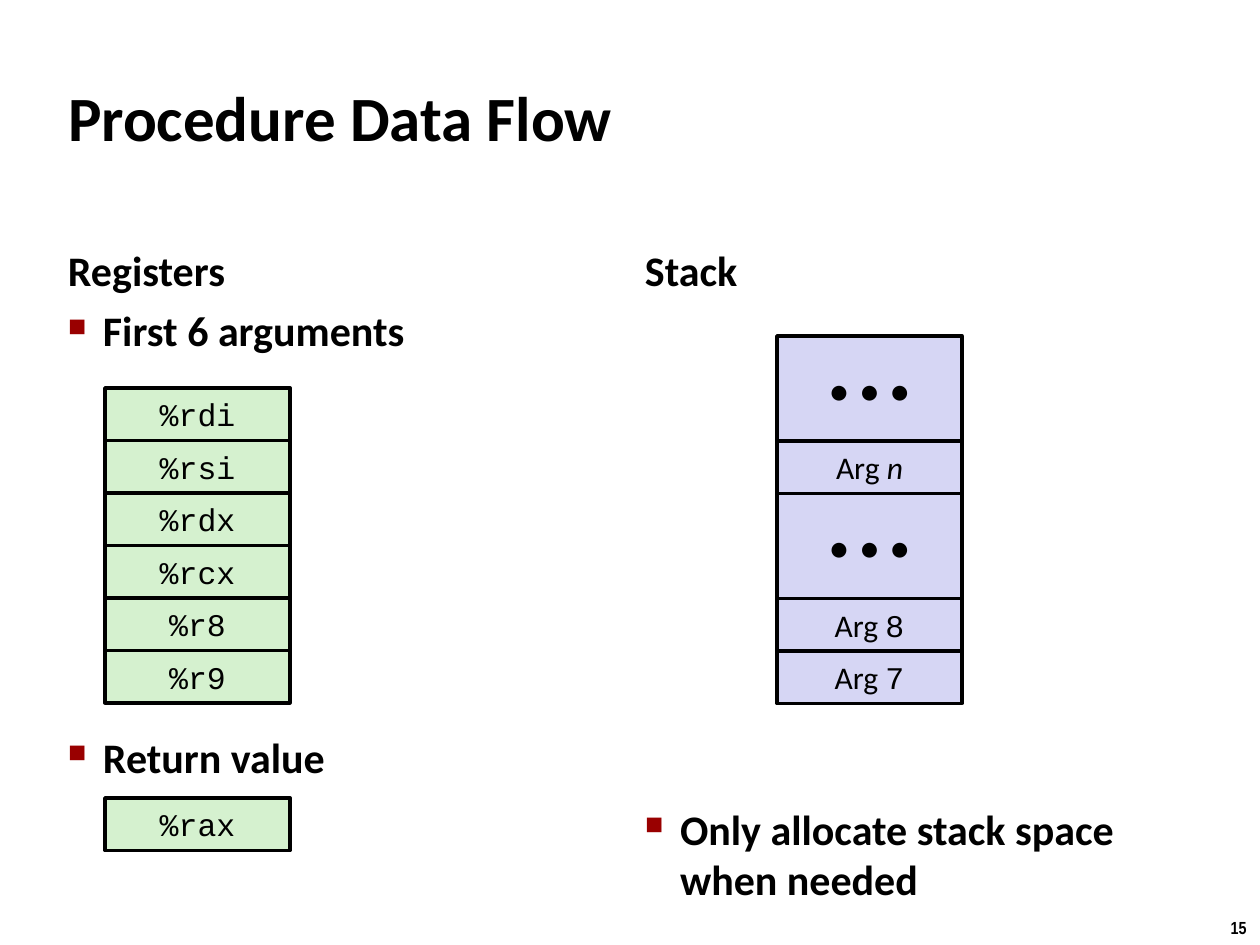
from dataclasses import dataclass

from lxml import etree
from pptx import Presentation
from pptx import util as u
from pptx.dml.color import RGBColor
from pptx.enum import shapes, text
from pptx.oxml import ns

EMU_PER_PX = 914400 / 126
COLORS = {
    "ink": "000000",
    "bullet": "990000",
    "register": "D5F1CF",
    "stack": "D6D6F4",
}
SANS, MONO = "Calibri", "Courier New"
INSET = 5
INDENT = 35
CELL_WIDTH = 185
ROW = 105 / 2


@dataclass(frozen=True)
class Label:
    words: str
    font: str = SANS
    italic: bool = False


@dataclass(frozen=True)
class Cell:
    labels: tuple[Label, ...]
    rows: int = 1
    size: int = 18
    inset: int = INSET


@dataclass(frozen=True)
class Stack:
    left: int
    top: int
    color: str
    cells: tuple[Cell, ...]


@dataclass(frozen=True)
class Line:
    words: str
    bullet: bool = False
    before: int = 0


@dataclass(frozen=True)
class Block:
    left: int
    top: int
    width: int
    height: int
    lines: tuple[Line, ...]
    anchor: text.MSO_ANCHOR = text.MSO_ANCHOR.TOP


def register(name: str) -> Cell:
    return Cell((Label(name, MONO),))


def argument(position: Label) -> Cell:
    return Cell((Label("Arg "), position))


DOTS = Cell((Label("• • •"),), rows=2, size=24, inset=0)
ARGUMENT_REGISTERS = ("%rdi", "%rsi", "%rdx", "%rcx", "%r8", "%r9")
STACKS = (
    Stack(105, 388, "register", tuple(map(register, ARGUMENT_REGISTERS))),
    Stack(105, 798, "register", (register("%rax"),)),
    Stack(777, 336, "stack", (
        DOTS,
        argument(Label("n", italic=True)),
        DOTS,
        argument(Label("8", MONO)),
        argument(Label("7", MONO)),
    )),
)
BLOCKS = (
    Block(63, 212, 557, 88, (Line("Registers"),), text.MSO_ANCHOR.BOTTOM),
    Block(63, 300, 557, 544, (
        Line("First 6 arguments", bullet=True),
        Line("Return value", bullet=True, before=215),
    )),
    Block(640, 212, 557, 88, (Line("Stack"),), text.MSO_ANCHOR.BOTTOM),
    Block(640, 798, 557, 46, (
        Line("Only allocate stack space when needed", bullet=True),
    )),
)


def px(value: float) -> u.Emu:
    return u.Emu(round(value * EMU_PER_PX))


def rgb(name: str) -> RGBColor:
    return RGBColor.from_string(COLORS[name])


def set_frame(frame, anchor: text.MSO_ANCHOR, inset: int = INSET) -> None:
    frame.word_wrap = True
    frame.auto_size = text.MSO_AUTO_SIZE.NONE
    frame.vertical_anchor = anchor
    frame.margin_left = frame.margin_right = px(inset)
    frame.margin_top = frame.margin_bottom = px(inset)


def set_font(paragraph, size: int, bold: bool = False, name: str = SANS) -> None:
    font = paragraph.font
    font.name, font.size, font.bold = name, u.Pt(size), bold
    font.color.rgb = rgb("ink")


def add_bullet(paragraph) -> None:
    properties = paragraph._p.get_or_add_pPr()
    properties.set("marL", str(px(INDENT)))
    properties.set("indent", str(-px(INDENT)))
    color = etree.SubElement(properties, ns.qn("a:buClr"))
    etree.SubElement(color, ns.qn("a:srgbClr"), val=COLORS["bullet"])
    etree.SubElement(properties, ns.qn("a:buSzPct"), val="60000")
    etree.SubElement(properties, ns.qn("a:buChar"), char="■")


def draw_title(slide, words: str) -> None:
    title = slide.shapes.title
    title.left, title.top, title.width, title.height = map(px, (63, 38, 1134, 157))
    set_frame(title.text_frame, text.MSO_ANCHOR.MIDDLE)
    paragraph = title.text_frame.paragraphs[0]
    paragraph.text = words
    paragraph.alignment = text.PP_ALIGN.LEFT
    set_font(paragraph, 36, bold=True)


def draw_block(slide, block: Block) -> None:
    bounds = map(px, (block.left, block.top, block.width, block.height))
    frame = slide.shapes.add_textbox(*bounds).text_frame
    set_frame(frame, block.anchor)
    for index, line in enumerate(block.lines):
        paragraph = frame.add_paragraph() if index else frame.paragraphs[0]
        paragraph.text = line.words
        if line.before:
            paragraph.space_before = u.Pt(line.before)
        if line.bullet:
            add_bullet(paragraph)
        set_font(paragraph, 24, bold=True)


def draw_cell(group, cell: Cell, left: float, top: float, color: str) -> None:
    bounds = map(px, (left, top, CELL_WIDTH, cell.rows * ROW))
    box = group.shapes.add_shape(shapes.MSO_SHAPE.RECTANGLE, *bounds)
    box.shadow.inherit = False
    box.fill.solid()
    box.fill.fore_color.rgb = rgb(color)
    box.line.color.rgb = rgb("ink")
    box.line.width = u.Pt(2)
    set_frame(box.text_frame, text.MSO_ANCHOR.MIDDLE, cell.inset)
    paragraph = box.text_frame.paragraphs[0]
    paragraph.alignment = text.PP_ALIGN.CENTER
    set_font(paragraph, cell.size)
    for label in cell.labels:
        run = paragraph.add_run()
        run.text = label.words
        run.font.name = label.font
        run.font.italic = label.italic


def draw_stack(slide, stack: Stack) -> None:
    group = slide.shapes.add_group_shape()
    top = stack.top
    for cell in stack.cells:
        draw_cell(group, cell, stack.left, top, stack.color)
        top += cell.rows * ROW


def draw_page_number(slide, number: str) -> None:
    frame = slide.shapes.add_textbox(*map(px, (1217, 911, 43, 34))).text_frame
    frame.word_wrap = False
    paragraph = frame.paragraphs[0]
    paragraph.text = number
    paragraph.alignment = text.PP_ALIGN.CENTER
    set_font(paragraph, 10, bold=True, name="Arial Narrow")


def main() -> None:
    deck = Presentation()
    deck.slide_width, deck.slide_height = px(1260), px(945)
    slide = deck.slides.add_slide(deck.slide_layouts.get_by_name("Title Only"))
    draw_title(slide, "Procedure Data Flow")
    for block in BLOCKS:
        draw_block(slide, block)
    for stack in STACKS:
        draw_stack(slide, stack)
    draw_page_number(slide, "15")
    deck.save("out.pptx")


if __name__ == "__main__":
    main()
